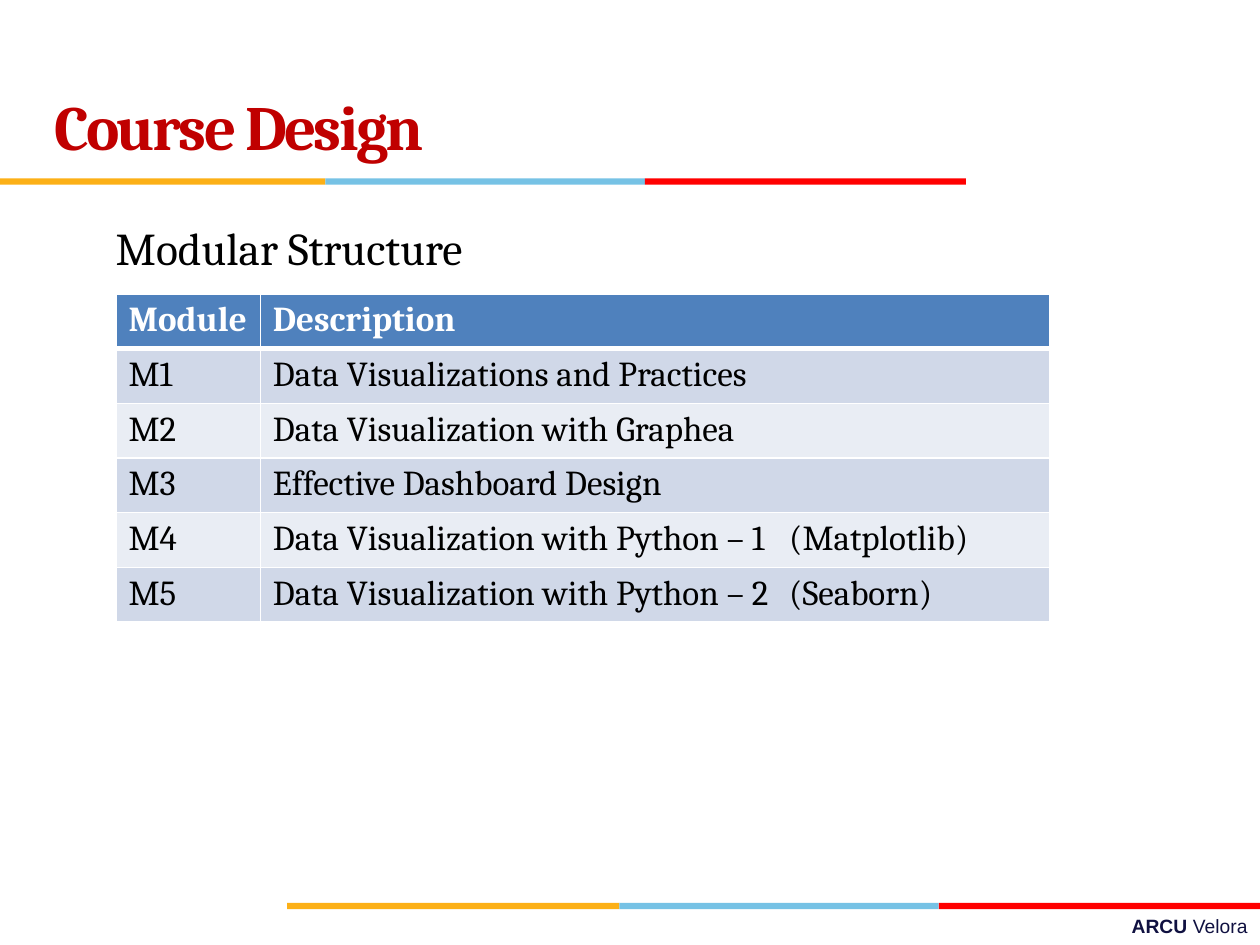
from dataclasses import dataclass

from lxml.etree import SubElement
from pptx import Presentation
from pptx.dml.color import RGBColor
from pptx.enum.shapes import MSO_SHAPE
from pptx.enum.text import MSO_ANCHOR, PP_ALIGN
from pptx.oxml.ns import qn
from pptx.util import Pt


@dataclass(frozen=True)
class Theme:
    serif: str = "Cambria"
    sans: str = "Arial"
    title: str = "C00000"
    text: str = "000000"
    white: str = "FFFFFF"
    footer: str = "101141"
    header: str = "4F81BD"
    rows: tuple = ("D0D8E8", "E9EDF4")
    bands: tuple = ("FCB017", "76C2E5", "FF0000")
    title_size: int = 36
    heading_size: int = 26
    table_size: int = 20
    footer_size: int = 11


THEME = Theme()
MODULES = [
    ("Module", "Description"),
    ("M1", "Data Visualizations and Practices"),
    ("M2", "Data Visualization with Graphea"),
    ("M3", "Effective Dashboard Design"),
    ("M4", "Data Visualization with Python – 1\t(Matplotlib)"),
    ("M5", "Data Visualization with Python – 2\t(Seaborn)"),
]
TAB_STOP = 295


def format_run(r, font, size, color, bold=False):
    r.font.name = font
    r.font.size = Pt(size)
    r.font.bold = bold
    r.font.color.rgb = RGBColor.from_string(color)


def add_title(s, text):
    sp = s.shapes.title
    sp.left, sp.top, sp.width, sp.height = Pt(24), Pt(48), Pt(498), Pt(54)
    tf = sp.text_frame
    tf.text = text
    tf.vertical_anchor = MSO_ANCHOR.MIDDLE
    p = tf.paragraphs[0]
    p.alignment = PP_ALIGN.LEFT
    p.line_spacing = Pt(36)
    r = p.runs[0]
    format_run(r, THEME.serif, THEME.title_size, THEME.title, True)
    r.font._element.set("spc", "-150")


def add_text(s, left, top, width, height, parts, font, size, color,
             align=PP_ALIGN.LEFT):
    """Add one line of text made of (text, bold) parts."""
    sp = s.shapes.add_textbox(Pt(left), Pt(top), Pt(width), Pt(height))
    tf = sp.text_frame
    tf.word_wrap = True
    p = tf.paragraphs[0]
    p.alignment = align
    for text, bold in parts:
        r = p.add_run()
        r.text = text
        format_run(r, font, size, color, bold)


def add_bands(s, edges, top):
    """Add a three-colour rule whose segments meet at the given edges."""
    for left, right, color in zip(edges, edges[1:], THEME.bands):
        sp = s.shapes.add_shape(MSO_SHAPE.RECTANGLE, Pt(left), Pt(top),
                                Pt(right - left), Pt(3.5))
        sp.shadow.inherit = False
        sp.fill.solid()
        sp.fill.fore_color.rgb = RGBColor.from_string(color)
        sp.line.fill.background()


def set_borders(cell, top, bottom):
    tc_pr = cell._tc.get_or_add_tcPr()
    for side, width in (("L", 1), ("R", 1), ("T", top), ("B", bottom)):
        ln = SubElement(tc_pr, qn(f"a:ln{side}"), w=str(Pt(width)))
        fill = SubElement(ln, qn("a:solidFill"))
        SubElement(fill, qn("a:srgbClr"), val=THEME.white)


def set_tab_stop(p, position):
    tabs = SubElement(p._p.get_or_add_pPr(), qn("a:tabLst"))
    SubElement(tabs, qn("a:tab"), pos=str(Pt(position)), algn="l")


def format_cell(cell, text, row):
    is_header = row == 0
    set_borders(cell, 3 if row == 1 else 1, 3 if is_header else 1)
    cell.fill.solid()
    cell.fill.fore_color.rgb = RGBColor.from_string(
        THEME.header if is_header else THEME.rows[(row - 1) % 2])
    cell.text_frame.text = text
    p = cell.text_frame.paragraphs[0]
    if "\t" in text:
        set_tab_stop(p, TAB_STOP)
    for r in p.runs:
        format_run(r, THEME.serif, THEME.table_size,
                   THEME.white if is_header else THEME.text, is_header)


def add_module_table(s, left, top, widths, row_height):
    table = s.shapes.add_table(
        len(MODULES), len(widths), Pt(left), Pt(top),
        Pt(sum(widths)), Pt(row_height * len(MODULES))).table
    for column, width in zip(table.columns, widths):
        column.width = Pt(width)
    for i, values in enumerate(MODULES):
        table.rows[i].height = Pt(row_height)
        for j, text in enumerate(values):
            format_cell(table.cell(i, j), text, i)


def main():
    prs = Presentation()
    prs.slide_width, prs.slide_height = Pt(720), Pt(540)
    s = prs.slides.add_slide(prs.slide_layouts[5])

    # Footer
    add_text(s, 258, 519, 462, 21, [("ARCU ", True), ("Velora", False)],
             THEME.sans, THEME.footer_size, THEME.footer, PP_ALIGN.RIGHT)
    add_bands(s, (164, 354, 536.5, 720), 516)

    # Title
    add_bands(s, (0, 186, 368.5, 552), 102)
    add_title(s, "Course Design")

    # Module overview
    add_text(s, 59, 122, 660, 40, [("Modular Structure", False)],
             THEME.serif, THEME.heading_size, THEME.text)
    add_module_table(s, 66.25, 168, (82.5, 451), 30.25)

    prs.save("out.pptx")


if __name__ == "__main__":
    main()
